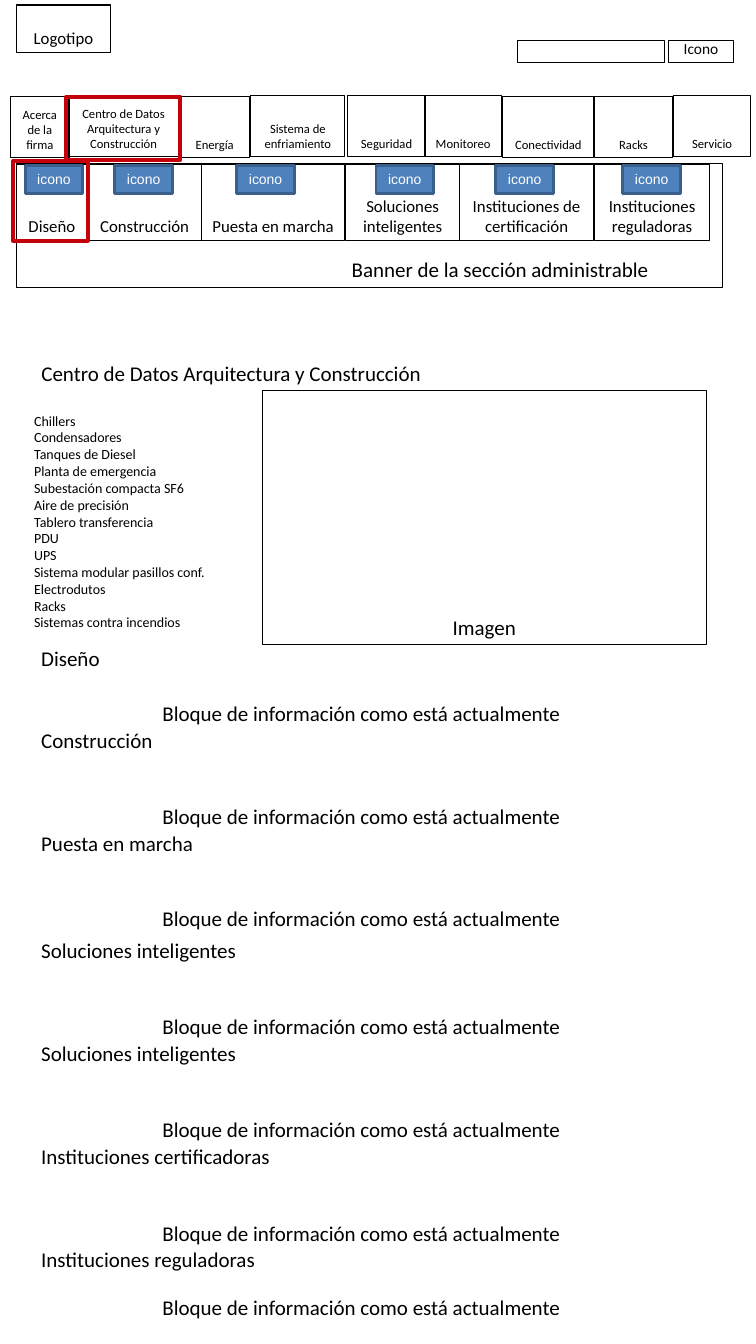
from dataclasses import dataclass

from pptx import Presentation
from pptx.dml.color import RGBColor
from pptx.enum.shapes import MSO_SHAPE
from pptx.enum.text import MSO_ANCHOR, MSO_AUTO_SIZE, PP_ALIGN
from pptx.util import Inches, Pt


@dataclass(frozen=True)
class Theme:
    font: str = "Calibri"
    icon_font: str = "Arial"
    ink: str = "000000"
    icon_fill: str = "4F81BD"
    icon_line: str = "3A5F8C"
    icon_ink: str = "FFFFFF"
    highlight: str = "C5000B"
    heading: float = 15
    menu: float = 12
    button: float = 11
    small: float = 10
    navigation: float = 9
    thin: float = 0.75
    medium: float = 2
    thick: float = 2.83


THEME = Theme()

# Label, left, top, width of each main menu cell
NAVIGATION = [
    ("Acerca de la firma", 0.1, 0.96, 0.59),
    ("Centro de Datos Arquitectura y Construcción", 0.68, 0.95, 1.09),
    ("Energía", 1.78, 0.96, 0.7),
    ("Sistema de enfriamiento", 2.49, 0.95, 0.93),
    ("Seguridad", 3.45, 0.95, 0.77),
    ("Monitoreo", 4.21, 0.95, 0.77),
    ("Conectividad", 4.99, 0.96, 0.9),
    ("Racks", 5.9, 0.96, 0.77),
    ("Servicio", 6.68, 0.95, 0.77),
]

# Label, left, width, left of the icon of each submenu cell
SUBMENU = [
    ("Diseño", 0.16, 0.71, 0.25),
    ("Construcción", 0.87, 1.13, 1.14),
    ("Puesta en marcha", 2.0, 1.42, 2.35),
    ("Soluciones inteligentes", 3.43, 1.13, 3.73),
    ("Instituciones de certificación", 4.56, 1.33, 4.92),
    ("Instituciones reguladoras", 5.9, 1.14, 6.18),
]

PRODUCTS = [
    "Chillers", "Condensadores", "Tanques de Diesel", "Planta de emergencia",
    "Subestación compacta SF6", "Aire de precisión", "Tablero transferencia",
    "PDU", "UPS", "Sistema modular pasillos conf.", "Electrodutos", "Racks",
    "Sistemas contra incendios",
]

# Heading, its top, top and height of its information block
SECTIONS = [
    ("Diseño", 6.4, 6.46, 0.79),
    ("Construcción", 7.21, 7.48, 0.79),
    ("Puesta en marcha", 8.23, 8.5, 0.79),
    ("Soluciones inteligentes", 9.29, 9.57, 0.79),
    ("Soluciones inteligentes", 10.32, 10.59, 0.79),
    ("Instituciones certificadoras", 11.34, 11.62, 0.79),
    ("Instituciones reguladoras", 12.36, 12.64, 0.51),
]


def write(shape, lines, size, align=PP_ALIGN.CENTER, anchor=MSO_ANCHOR.BOTTOM,
          font=THEME.font, color=THEME.ink):
    frame = shape.text_frame
    frame.text = "\n".join(lines)
    frame.word_wrap = True
    frame.auto_size = MSO_AUTO_SIZE.NONE
    frame.vertical_anchor = anchor
    for para in frame.paragraphs:
        para.alignment = align
        para.font.name = font
        para.font.size = Pt(size)
        para.font.color.rgb = RGBColor.from_string(color)


def add_box(page, left, top, width, height, fill=None, line=THEME.ink, weight=THEME.thin):
    box = page.shapes.add_shape(MSO_SHAPE.RECTANGLE, Inches(left), Inches(top),
                                Inches(width), Inches(height))
    box.shadow.inherit = False
    if fill:
        box.fill.solid()
        box.fill.fore_color.rgb = RGBColor.from_string(fill)
    else:
        box.fill.background()
    box.line.color.rgb = RGBColor.from_string(line)
    box.line.width = Pt(weight)
    return box


def add_label_box(page, label, left, top, width, height, size):
    box = add_box(page, left, top, width, height)
    write(box, [label], size)
    return box


def add_text(page, lines, left, top, width, height, size, align=PP_ALIGN.LEFT):
    box = page.shapes.add_textbox(Inches(left), Inches(top), Inches(width), Inches(height))
    write(box, lines, size, align)


def add_icon(page, left):
    box = add_box(page, left, 1.64, 0.57, 0.28, THEME.icon_fill, THEME.icon_line, THEME.medium)
    write(box, ["icono"], THEME.small, anchor=MSO_ANCHOR.MIDDLE,
          font=THEME.icon_font, color=THEME.icon_ink)


def add_highlight(page, left, top, width, height):
    add_box(page, left, top, width, height, line=THEME.highlight, weight=THEME.thick)


def place_title(page, label):
    title = page.shapes.title
    title.left, title.top = Inches(0.31), Inches(3.57)
    title.width, title.height = Inches(4.65), Inches(0.31)
    write(title, [label], THEME.heading, PP_ALIGN.LEFT)


def main():
    deck = Presentation()
    deck.slide_width, deck.slide_height = Inches(7.5), Inches(13.34)
    page = deck.slides.add_slide(deck.slide_layouts[5])
    place_title(page, "Centro de Datos Arquitectura y Construcción")

    # Banner, its label set right of centre
    banner = add_label_box(page, "Banner de la sección administrable",
                           0.16, 1.62, 7.01, 1.23, THEME.heading)
    banner.text_frame.margin_left = Inches(2.69)

    # Product list and image area
    add_text(page, PRODUCTS, 0.24, 3.96, 5.33, 2.35, THEME.small)
    add_label_box(page, "Imagen", 2.6, 3.88, 4.41, 2.52, THEME.heading)

    # Information sections
    for heading, top, block_top, block_height in SECTIONS:
        add_text(page, [heading], 0.31, top, 4.65, 0.31, THEME.heading)
        add_text(page, ["Bloque de información como está actualmente"],
                 0.16, block_top, 6.85, block_height, THEME.heading, PP_ALIGN.CENTER)

    # Header: logo area, search field and button
    add_label_box(page, "Logotipo", 0.16, 0.05, 0.94, 0.47, THEME.menu)
    add_box(page, 5.13, 0.4, 1.46, 0.22)
    add_label_box(page, "Icono", 6.63, 0.4, 0.65, 0.22, THEME.button)

    # Main menu
    for label, left, top, width in NAVIGATION:
        add_label_box(page, label, left, top, width, 0.6, THEME.navigation)
    add_highlight(page, 0.66, 0.96, 1.13, 0.63)

    # Submenu with icons
    for label, left, width, icon_left in SUBMENU:
        add_label_box(page, label, left, 1.63, width, 0.76, THEME.menu)
        add_icon(page, icon_left)
    add_highlight(page, 0.13, 1.6, 0.74, 0.79)

    deck.save("out.pptx")


main()
